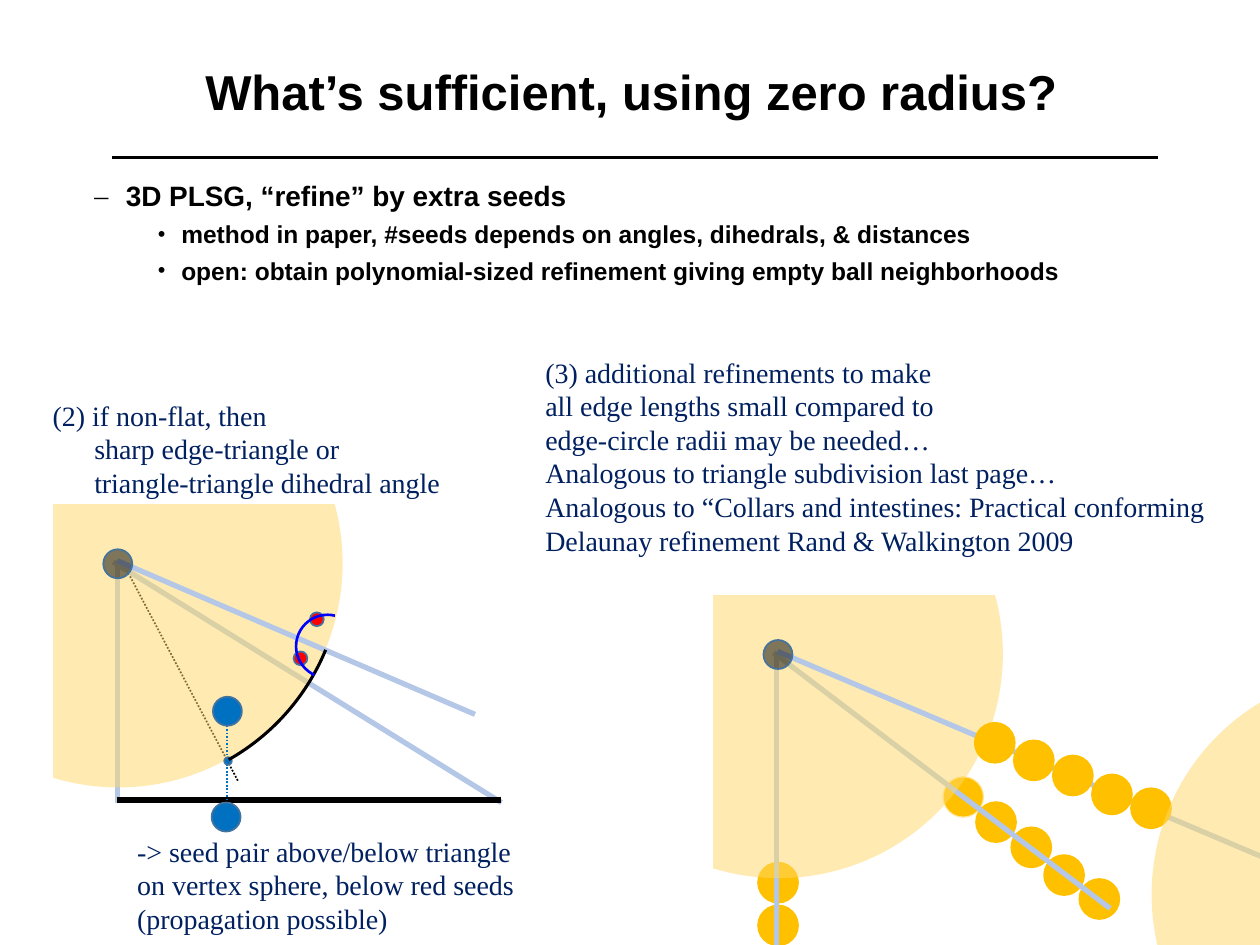
"""Slide on zero-radius refinement: sphere and ray diagrams with seed chains."""
from lxml import etree
from pptx import Presentation
from pptx.dml.color import RGBColor
from pptx.enum import dml, shapes, text
from pptx.oxml import ns
from pptx.util import Inches, Pt

BLACK = RGBColor(0x00, 0x00, 0x00)
WHITE = RGBColor(0xFF, 0xFF, 0xFF)
NAVY = RGBColor(0x00, 0x20, 0x60)
PALE = RGBColor(0xB4, 0xC7, 0xE7)
SEED = RGBColor(0x00, 0x70, 0xC0)
RIM = RGBColor(0x43, 0x73, 0x9E)
BEAD = RGBColor(0xFF, 0xC0, 0x00)
SPHERE = RGBColor(0xFF, 0xD9, 0x66)
RED = RGBColor(0xFF, 0x00, 0x00)
BLUE = RGBColor(0x00, 0x00, 0xFF)

TITLE = "What’s sufficient, using zero radius?"
BULLETS = [
    ("–", 0.75, 0.25, 16, "3D PLSG, “refine” by extra seeds"),
    ("•", 1.19, 0.19, 14, "method in paper, #seeds depends on angles, dihedrals, & distances"),
    ("•", 1.19, 0.19, 14, "open: obtain polynomial-sized refinement giving empty ball neighborhoods"),
]
NOTES = [
    ((0.99, 6.57, 3.29, 0.91), 0, [
        "-> seed pair above/below triangle\non vertex sphere, below red seeds",
        "(propagation possible)"]),
    ((0.32, 3.11, 3.33, 0.91), 0.33, [
        "(2) if non-flat, then\nsharp edge-triangle or\ntriangle-triangle dihedral angle"]),
    ((4.23, 2.77, 5.57, 1.72), 0, [
        "(3) additional refinements to make\nall edge lengths small compared to\n"
        "edge-circle radii may be needed…",
        "Analogous to triangle subdivision last page…",
        "Analogous to “Collars and intestines: Practical conforming\n"
        "Delaunay refinement Rand & Walkington 2009"]),
]
LEFT_RAYS = [(0.93, 4.46, 0.93, 6.37), (0.9, 4.46, 3.98, 6.37)]
LEFT_EDGE = (0.93, 4.45, 3.77, 5.67)
RIGHT_RAYS = [(6.16, 5.18, 6.16, 7.5), (6.14, 5.18, 8.81, 7.21)]
RIGHT_EDGE = (6.17, 5.17, 10.11, 6.84)
MASKS = [(-1.21, 2.33, 4.84, 1.66), (-1.04, 2.49, 1.45, 4.1)]
SEEDS = [(1.69, 5.53, 0.23, SEED), (1.68, 6.37, 0.23, SEED), (1.78, 6.01, 0.06, SEED),
         (2.33, 5.17, 0.11, RED), (2.46, 4.86, 0.11, RED)]
ARCS = [(-0.84, 2.7, 3.56, (13.438, 36.292), BLACK, 1.75),
        (2.35, 4.88, 0.5, (68.966, 170.205), BLUE, 1.5)]
LOWER_CHAIN = [(7.75, 6.37), (7.49, 6.17), (8.03, 6.57), (8.29, 6.79), (8.57, 6.98)]
VERTICAL_CHAIN = [(6.02, 7.19), (6.02, 6.85)]
UPPER_CHAIN = [(7.74, 5.74), (8.05, 5.88), (8.36, 6), (8.67, 6.15), (8.98, 6.26)]
BEAD_SIZE, SPHERE_SIZE, HUB_SIZE = 0.31, 3.56, 0.23

prs = Presentation()
prs.slide_width, prs.slide_height = Inches(10), Inches(7.5)
s = prs.slides.add_slide(prs.slide_layouts[6])


def add_alpha(fill, percent):
    color = fill._xPr.find(".//" + ns.qn("a:srgbClr"))
    etree.SubElement(color, ns.qn("a:alpha")).set("val", str(percent * 1000))


def add_shape(kind, box, fill=None, line=None, width=1.0, alpha=None):
    sp = s.shapes.add_shape(kind, *map(Inches, box))
    sp.shadow.inherit = False
    if fill is None:
        sp.fill.background()
    else:
        sp.fill.solid()
        sp.fill.fore_color.rgb = fill
    if alpha:
        add_alpha(sp.fill, alpha)
    if line is None:
        sp.line.fill.background()
    else:
        sp.line.color.rgb = line
        sp.line.width = Pt(width)
    return sp


def add_circle(x, y, size, *style, **options):
    return add_shape(shapes.MSO_SHAPE.OVAL, (x, y, size, size), *style, **options)


def add_line(ends, color, width, dotted=False):
    c = s.shapes.add_connector(shapes.MSO_CONNECTOR.STRAIGHT, *map(Inches, ends))
    c.line.color.rgb = color
    c.line.width = Pt(width)
    if dotted:
        c.line.dash_style = dml.MSO_LINE.ROUND_DOT
    etree.SubElement(c._element.spPr, ns.qn("a:effectLst"))


def add_chain(places):
    return [add_circle(x, y, BEAD_SIZE, BEAD, BEAD, 1.5) for x, y in places]


def add_scene(dx, dy, rays, edge):
    for ray in rays:
        add_line(ray, PALE, 3)
    add_circle(dx - 0.84, dy + 2.69, SPHERE_SIZE, SPHERE, alpha=50)
    add_line(edge, PALE, 3)
    add_circle(dx + 0.82, dy + 4.36, HUB_SIZE, BLACK, RIM, alpha=50)
    for x, y, w, h in MASKS:
        add_shape(shapes.MSO_SHAPE.RECTANGLE, (x + dx, y + dy, w, h), WHITE, WHITE, 1.5)


def add_box(box):
    tf = s.shapes.add_textbox(*map(Inches, box)).text_frame
    tf.word_wrap = True
    return tf


def add_paragraph(tf, i, words, size, font, color, bold=False):
    p = tf.add_paragraph() if i else tf.paragraphs[0]
    p.text = words
    for r in p.runs:
        r.font.size, r.font.name, r.font.bold = Pt(size), font, bold
        r.font.color.rgb = color
    return p


def set_indent(p, margin, hang):
    pPr = p._p.get_or_add_pPr()
    pPr.set("marL", str(Inches(margin)))
    pPr.set("indent", str(-Inches(hang)))
    return pPr


add_line((0.89, 1.25, 9.19, 1.25), BLACK, 2)
beads = add_chain(LOWER_CHAIN)
add_alpha(beads[1].line.fill, 39)

tf = add_box((0.76, 0.17, 8.5, 1.11))
tf.vertical_anchor = text.MSO_ANCHOR.MIDDLE
add_paragraph(tf, 0, TITLE, 28, "Arial", BLACK, True).alignment = text.PP_ALIGN.CENTER

add_line((1.02, 4.55, 1.89, 6.2), BLACK, 1, dotted=True)
add_scene(0, 0, LEFT_RAYS, LEFT_EDGE)
add_line((3.98, 6.35, 0.93, 6.35), BLACK, 3)
add_line((1.8, 5.76, 1.8, 6.37), SEED, 1, dotted=True)
for x, y, size, color in SEEDS:
    add_circle(x, y, size, color, RIM)
for x, y, size, angles, color, width in ARCS:
    sp = add_shape(shapes.MSO_SHAPE.ARC, (x, y, size, size), None, color, width)
    sp.adjustments[0], sp.adjustments[1] = angles

add_chain(VERTICAL_CHAIN)
add_scene(5.24, 0.72, RIGHT_RAYS, RIGHT_EDGE)
add_chain(UPPER_CHAIN)

tf = add_box((0.15, 1.37, 9.45, 1.25))
for i, (mark, margin, hang, size, words) in enumerate(BULLETS):
    p = add_paragraph(tf, i, words, size, "Arial", BLACK, True)
    if i:
        p.space_before = Pt(4)
    pPr = set_indent(p, margin, hang)
    etree.SubElement(pPr, ns.qn("a:buFont")).set("typeface", "Times New Roman")
    etree.SubElement(pPr, ns.qn("a:buChar")).set("char", mark)

for box, hang, paragraphs in NOTES:
    tf = add_box(box)
    for i, words in enumerate(paragraphs):
        p = add_paragraph(tf, i, words, 16, "Times New Roman", NAVY)
        if hang:
            set_indent(p, hang, hang)

add_circle(9.14, 5.32, SPHERE_SIZE, SPHERE, alpha=50)
prs.save("out.pptx")
